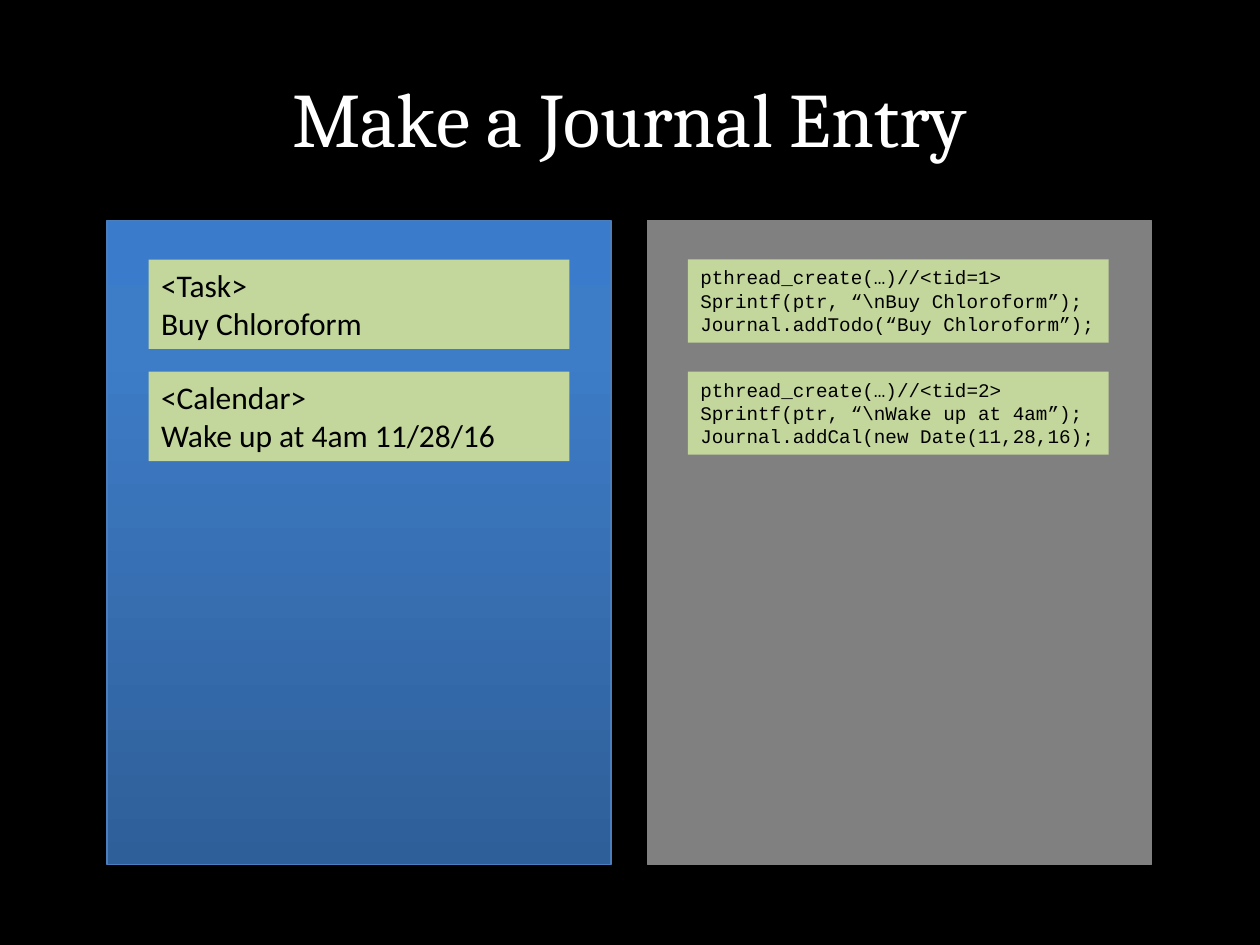
from copy import deepcopy

from pptx import Presentation
from pptx.dml.color import RGBColor
from pptx.enum.shapes import MSO_SHAPE
from pptx.enum.text import MSO_ANCHOR, MSO_AUTO_SIZE, PP_ALIGN
from pptx.oxml.ns import qn
from pptx.util import Inches, Pt

RECTANGLE = MSO_SHAPE.RECTANGLE
MIDDLE = MSO_ANCHOR.MIDDLE
CENTER = PP_ALIGN.CENTER
FIT_SHAPE = MSO_AUTO_SIZE.SHAPE_TO_FIT_TEXT
TITLE_ONLY = 5

PANEL_TOP, PANEL_WIDTH, PANEL_HEIGHT = 1.75, 4, 5.11
CARD_TOP, CARD_WIDTH, CARD_STEP = 2.06, 3.34, 0.89
BLUE_STOPS = [(0, "2F5F99"), (0.8, "3D7CC7"), (1, "3A7CCB")]

ENTRIES = [
    ["<Task>", "Buy Chloroform"],
    ["<Calendar>", "Wake up at 4am 11/28/16"],
]
CALLS = [
    ["pthread_create(…)//<tid=1>",
     "Sprintf(ptr, “\\nBuy Chloroform”);",
     "Journal.addTodo(“Buy Chloroform”);"],
    ["pthread_create(…)//<tid=2>",
     "Sprintf(ptr, “\\nWake up at 4am”);",
     "Journal.addCal(new Date(11,28,16);"],
]


def color(value):
    return RGBColor.from_string(value)


def set_font(paragraph, name, size, value):
    paragraph.font.name = name
    paragraph.font.size = Pt(size)
    paragraph.font.color.rgb = color(value)


def add_title(slide, text):
    title = slide.shapes.title
    title.left, title.top = Inches(0.5), Inches(0.3)
    title.width, title.height = Inches(9), Inches(1.25)
    title.text_frame.text = text
    title.text_frame.vertical_anchor = MIDDLE
    paragraph = title.text_frame.paragraphs[0]
    paragraph.alignment = CENTER
    set_font(paragraph, "Cambria", 44, "FFFFFF")


def add_panel(slide, left, line):
    panel = slide.shapes.add_shape(
        RECTANGLE, Inches(left), Inches(PANEL_TOP),
        Inches(PANEL_WIDTH), Inches(PANEL_HEIGHT))
    panel.shadow.inherit = False
    panel.line.color.rgb = color(line)
    panel.line.width = Pt(0.75)
    return panel


def fill_solid(shape, value):
    shape.fill.solid()
    shape.fill.fore_color.rgb = color(value)


def fill_gradient(shape, stops):
    """Run the gradient upwards through the given stops."""
    shape.fill.gradient()
    shape.fill.gradient_angle = 90
    # The default gradient has two stops; extend it to the number needed
    stop_list = next(shape._element.spPr.iter(qn("a:gsLst")))
    while len(stop_list) < len(stops):
        stop_list.append(deepcopy(stop_list[-1]))
    for stop, (position, value) in zip(shape.fill.gradient_stops, stops):
        stop.position = position
        stop.color.rgb = color(value)


def add_cards(slide, left, height, cards, font_name, size):
    for index, lines in enumerate(cards):
        card = slide.shapes.add_textbox(
            Inches(left), Inches(CARD_TOP + index * CARD_STEP),
            Inches(CARD_WIDTH), Inches(height))
        fill_solid(card, "C3D69B")
        frame = card.text_frame
        frame.word_wrap = True
        frame.auto_size = FIT_SHAPE
        frame.text = "\n".join(lines)
        for paragraph in frame.paragraphs:
            set_font(paragraph, font_name, size, "000000")


def main():
    presentation = Presentation()
    presentation.slide_width = Inches(10)
    presentation.slide_height = Inches(7.5)
    slide = presentation.slides.add_slide(
        presentation.slide_layouts[TITLE_ONLY])
    fill_solid(slide.background, "000000")
    add_title(slide, "Make a Journal Entry")

    # Journal entries
    journal_panel = add_panel(slide, 0.85, "4B7EBC")
    fill_gradient(journal_panel, BLUE_STOPS)
    add_cards(slide, 1.18, 0.71, ENTRIES, "Calibri", 18)

    # Code that each entry runs
    code_panel = add_panel(slide, 5.14, "808080")
    fill_solid(code_panel, "808080")
    add_cards(slide, 5.46, 0.66, CALLS, "Courier New", 11)

    presentation.save("out.pptx")


if __name__ == "__main__":
    main()
